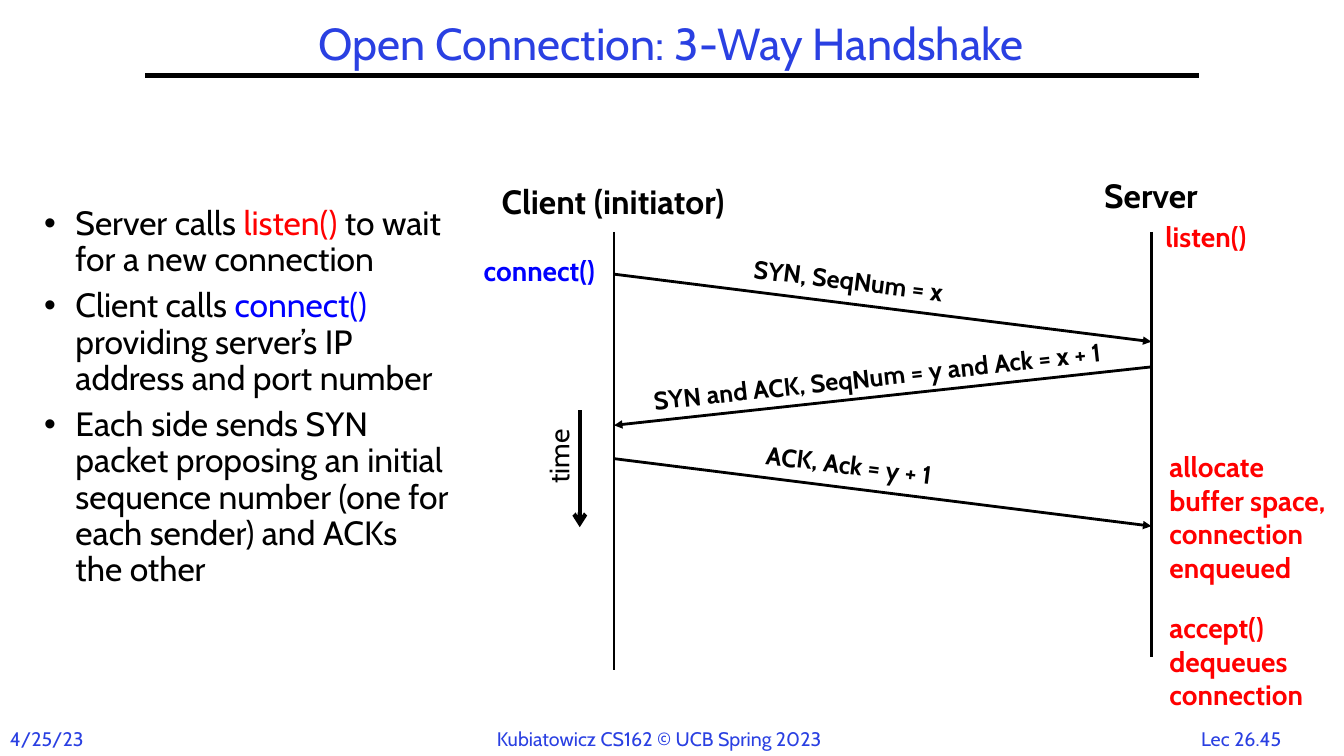
from dataclasses import dataclass

from lxml.etree import SubElement
from pptx import Presentation
from pptx.dml.color import RGBColor
from pptx.enum.shapes import MSO_CONNECTOR
from pptx.enum.text import MSO_ANCHOR, MSO_AUTO_SIZE, PP_ALIGN
from pptx.oxml.ns import qn
from pptx.slide import Slide
from pptx.util import Inches, Pt


@dataclass(frozen=True)
class Theme:
    """Colours, font and type sizes of the slide."""
    font: str = "Cabin"
    black: str = "000000"
    accent: str = "2A40E2"
    client: str = "0000FF"
    server: str = "FF0000"
    title: int = 32
    body: int = 24
    call: int = 20
    message: int = 18
    footer: int = 14


THEME = Theme()


@dataclass(frozen=True)
class Label:
    """A block of text; each paragraph is a tuple of (text, colour) runs."""
    box: tuple[float, float, float, float]
    paragraphs: tuple[tuple[tuple[str, str], ...], ...]
    size: int
    bold: bool = False
    align: PP_ALIGN = PP_ALIGN.LEFT
    anchor: MSO_ANCHOR = MSO_ANCHOR.TOP
    rotation: float = 0
    wrap: bool = False
    grow: bool = True
    spacing: float = 1.0
    bulleted: bool = False


@dataclass(frozen=True)
class Stroke:
    """A straight line, with an arrowhead at its end if one is named."""
    start: tuple[float, float]
    end: tuple[float, float]
    width: float = 2
    head: str = ""


@dataclass(frozen=True)
class Message:
    """A packet sent between the timelines, with its caption."""
    arrow: Stroke
    caption: Label


def plain(text: str, colour: str) -> tuple[tuple[tuple[str, str], ...], ...]:
    """Return a single paragraph holding one run."""
    return (((text, colour),),)


def message(
    start: tuple[float, float],
    end: tuple[float, float],
    text: str,
    box: tuple[float, float, float, float],
    rotation: float,
) -> Message:
    """Describe one packet of the handshake."""
    caption = Label(box, plain(text, THEME.black), THEME.message, True,
                    PP_ALIGN.CENTER, rotation=rotation)
    return Message(Stroke(start, end, head="triangle"), caption)


CLIENT_X, SERVER_X = 6.09, 11.42

STROKES = (
    Stroke((1.44, 0.75), (11.89, 0.75), 3),
    Stroke((CLIENT_X, 2.3), (CLIENT_X, 6.65)),
    Stroke((SERVER_X, 2.3), (SERVER_X, 6.52)),
    Stroke((5.75, 4.07), (5.75, 5.23), 3, "arrow"),
)

MESSAGES = (
    message((CLIENT_X, 2.72), (SERVER_X, 3.39), "SYN, SeqNum = x",
            (7.26, 2.58, 2.31, 0.4), 7.2),
    message((SERVER_X, 3.64), (CLIENT_X, 4.22), "SYN and ACK, SeqNum = y and Ack = x + 1",
            (6.03, 3.53, 5.34, 0.4), 353.7),
    message((CLIENT_X, 4.55), (SERVER_X, 5.22), "ACK, Ack = y + 1",
            (7.32, 4.41, 2.2, 0.4), 7.2),
)

STEPS = (
    (("Server calls ", THEME.black), ("listen() ", THEME.server),
     ("to wait for a new connection", THEME.black)),
    (("Client calls ", THEME.black), ("connect() ", THEME.client),
     ("providing server’s IP address and port number", THEME.black)),
    (("Each side sends SYN packet proposing an initial sequence number "
      "(one for each sender) and ACKs the other", THEME.black),),
)

LABELS = (
    Label((1.44, 0.17, 10.44, 0.58), plain("Open Connection: 3-Way Handshake", THEME.accent),
          THEME.title, align=PP_ALIGN.CENTER, anchor=MSO_ANCHOR.MIDDLE,
          wrap=True, grow=False, spacing=0.9),
    Label((0.34, 2, 4.22, 4.76), STEPS, THEME.body,
          wrap=True, grow=False, spacing=0.9, bulleted=True),
    Label((4.74, 1.75, 2.68, 0.5), plain("Client (initiator)", THEME.black),
          THEME.body, True, PP_ALIGN.CENTER),
    Label((10.79, 1.69, 1.25, 0.5), plain("Server", THEME.black),
          THEME.body, True, PP_ALIGN.CENTER),
    Label((4.54, 2.47, 1.46, 0.43), plain("connect()", THEME.client),
          THEME.call, True, PP_ALIGN.RIGHT),
    Label((11.46, 2.13, 1.12, 0.43), plain("listen()", THEME.server), THEME.call, True),
    Label((11.5, 4.41, 1.94, 1.44),
          plain("allocate\nbuffer space,", THEME.server)
          + plain("connection\nenqueued", THEME.server), THEME.call, True),
    Label((11.5, 6.01, 1.74, 1.11), plain("accept() dequeues connection", THEME.server),
          THEME.call, True, wrap=True),
    Label((5.04, 4.31, 1, 0.44), plain("time", THEME.black), THEME.call,
          align=PP_ALIGN.CENTER, rotation=270),
    Label((0, 7.16, 1.1, 0.34), plain("4/25/23", THEME.accent), THEME.footer),
    Label((4.83, 7.16, 3.68, 0.34), plain("Kubiatowicz CS162 © UCB Spring 2023", THEME.accent),
          THEME.footer),
    Label((11.77, 7.16, 1.08, 0.33), plain("Lec 26.45", THEME.accent),
          THEME.footer, align=PP_ALIGN.CENTER),
)


def apply(target: object, values: dict[str, object]) -> None:
    """Set each named attribute on the target."""
    for name, value in values.items():
        setattr(target, name, value)


def draw_label(slide: Slide, label: Label) -> None:
    """Add a text box for the label."""
    holder = slide.shapes.add_textbox(*map(Inches, label.box))
    holder.rotation = label.rotation
    frame = holder.text_frame
    apply(frame, {
        "word_wrap": label.wrap,
        "vertical_anchor": label.anchor,
        "auto_size": MSO_AUTO_SIZE.SHAPE_TO_FIT_TEXT if label.grow else MSO_AUTO_SIZE.NONE,
    })
    for index, pieces in enumerate(label.paragraphs):
        paragraph = frame.add_paragraph() if index else frame.paragraphs[0]
        apply(paragraph, {"alignment": label.align, "line_spacing": label.spacing})
        for text, colour in pieces:
            for position, part in enumerate(text.split("\n")):
                if position:
                    paragraph.add_line_break()
                run = paragraph.add_run()
                run.text = part
                apply(run.font, {"name": THEME.font, "size": Pt(label.size), "bold": label.bold})
                run.font.color.rgb = RGBColor.from_string(colour)
        if label.bulleted:
            paragraph.space_before = Pt(7)
            properties = paragraph._p.get_or_add_pPr()
            properties.set("marL", str(Inches(0.31)))
            properties.set("indent", str(Inches(-0.31)))
            SubElement(properties, qn("a:buFont"), typeface="Arial")
            SubElement(properties, qn("a:buChar"), char="•")


def draw_stroke(slide: Slide, stroke: Stroke) -> None:
    """Add a connector for the stroke."""
    connector = slide.shapes.add_connector(
        MSO_CONNECTOR.STRAIGHT, *map(Inches, stroke.start + stroke.end))
    connector.line.width = Pt(stroke.width)
    connector.line.color.rgb = RGBColor.from_string(THEME.black)
    if stroke.head:
        SubElement(connector.line._get_or_add_ln(), qn("a:tailEnd"), type=stroke.head)
    SubElement(connector._element.spPr, qn("a:effectLst"))


def main() -> None:
    """Build the handshake slide and save it."""
    deck = Presentation()
    apply(deck, {"slide_width": Inches(13.33), "slide_height": Inches(7.5)})
    slide = deck.slides.add_slide(deck.slide_layouts[6])
    for stroke in STROKES:
        draw_stroke(slide, stroke)
    for packet in MESSAGES:
        draw_stroke(slide, packet.arrow)
        draw_label(slide, packet.caption)
    for label in LABELS:
        draw_label(slide, label)
    deck.save("out.pptx")


if __name__ == "__main__":
    main()
